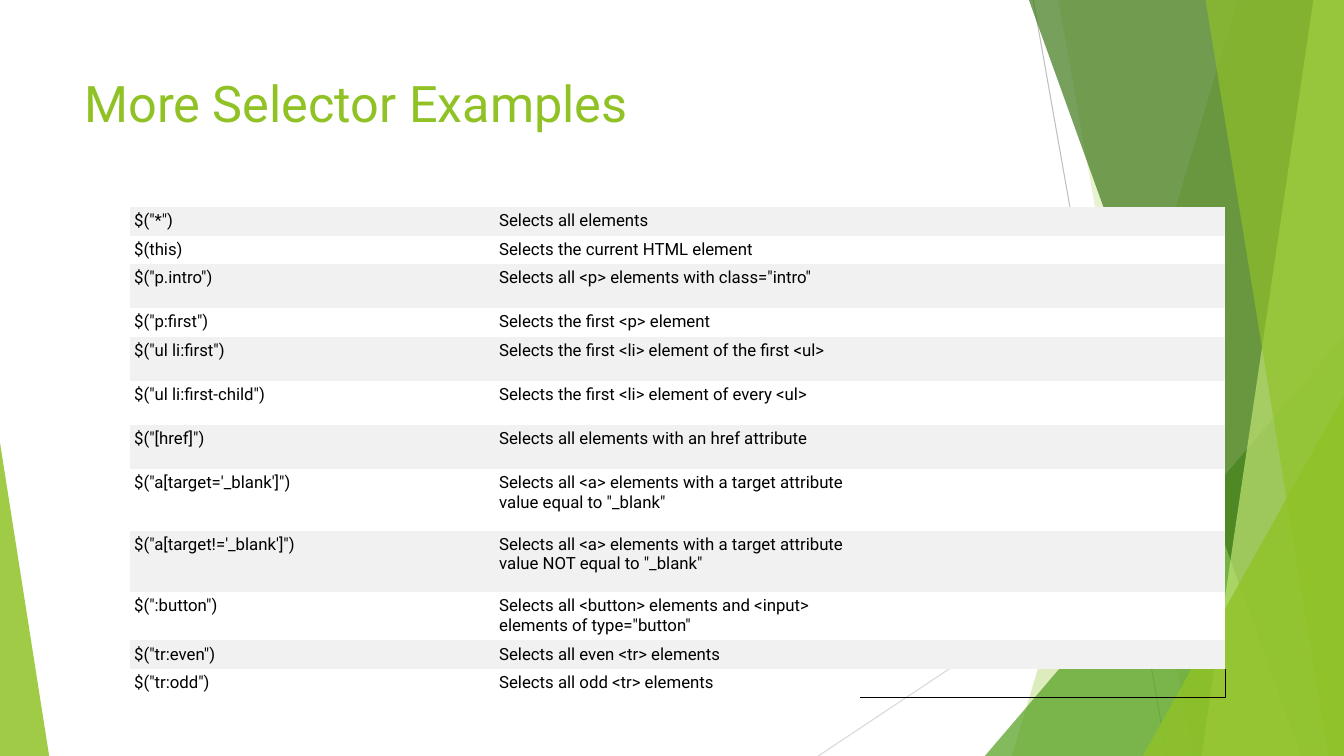
from lxml import etree
from pptx import Presentation
from pptx.dml.color import RGBColor
from pptx.enum import shapes, text
from pptx.oxml import ns
from pptx.util import Cm, Pt

LIME = RGBColor(0x90, 0xC2, 0x26)
GREEN = RGBColor(0x54, 0xA0, 0x21)
MOSS = RGBColor(0x3F, 0x78, 0x19)
PALE = RGBColor(0xC0, 0xE4, 0x74)
BLACK = RGBColor(0, 0, 0)
WHITE = RGBColor(0xFF, 0xFF, 0xFF)
BAND = RGBColor(0xF1, 0xF1, 0xF1)
GREY = RGBColor(0xBF, 0xBF, 0xBF)
SILVER = RGBColor(0xD9, 0xD9, 0xD9)

FONT = "Roboto"
WIDE, HIGH = 33.87, 19.05
PLAIN = "{2D5ABB26-0587-4C30-8999-92F81FD0307C}"

ROWS = [
    (0.72, '$("*")', "Selects all elements"),
    (0.72, "$(this)", "Selects the current HTML element"),
    (1.11, '$("p.intro")', 'Selects all <p> elements with class="intro"'),
    (0.72, '$("p:first")', "Selects the first <p> element"),
    (1.11, '$("ul li:first")', "Selects the first <li> element of the first <ul>"),
    (1.11, '$("ul li:first-child")', "Selects the first <li> element of every <ul>"),
    (1.11, '$("[href]")', "Selects all elements with an href attribute"),
    (1.55, "$(\"a[target='_blank']\")",
     'Selects all <a> elements with a target attribute value equal to "_blank"'),
    (1.55, "$(\"a[target!='_blank']\")",
     'Selects all <a> elements with a target attribute value NOT equal to "_blank"'),
    (1.21, '$(":button")',
     'Selects all <button> elements and <input> elements of type="button"'),
    (0.72, '$("tr:even")', "Selects all even <tr> elements"),
    (0.72, '$("tr:odd")', "Selects all odd <tr> elements"),
]


def add_sub(node, tag, **attrs):
    """Append a drawing element and return it."""
    return etree.SubElement(node, ns.qn(tag), attrs)


def add_line(slide, start, end, tint):
    """Draw a thin straight line."""
    line = slide.shapes.add_connector(
        shapes.MSO_CONNECTOR.STRAIGHT, *(Cm(n) for n in start + end))
    line.line.color.rgb = tint
    line.line.width = Pt(0.75)
    add_sub(line._element.spPr, "a:effectLst")


def paint(shape, tint, alpha):
    """Fill a shape with a see-through colour and no outline."""
    shape.shadow.inherit = False
    shape.line.fill.background()
    shape.fill.solid()
    shape.fill.fore_color.rgb = tint
    color = shape._element.spPr.find(".//" + ns.qn("a:srgbClr"))
    add_sub(color, "a:alpha", val=str(alpha * 1000))


def add_blade(slide, top, foot, tint, alpha):
    """Draw a full-height blade against the right edge."""
    path = [(top, 0), (WIDE, 0), (WIDE, HIGH), (foot, HIGH)]
    points = [(Cm(x), Cm(y)) for x, y in path]
    build = slide.shapes.build_freeform(*points[0])
    build.add_line_segments(points[1:])
    paint(build.convert_to_shape(), tint, alpha)


def add_wedge(slide, left, top, width, peak, tint, alpha):
    """Draw a right triangle standing on the bottom edge."""
    wedge = slide.shapes.add_shape(
        shapes.MSO_SHAPE.ISOSCELES_TRIANGLE,
        Cm(left), Cm(top), Cm(width), Cm(HIGH - top))
    wedge.adjustments[0] = peak
    paint(wedge, tint, alpha)


def add_run(para, words, size, tint):
    """Add one styled run to a paragraph."""
    run = para.add_run()
    run.text = words
    run.font.name = FONT
    run.font.size = Pt(size)
    run.font.color.rgb = tint


def add_title(slide, words):
    """Place the slide title."""
    box = slide.shapes.add_textbox(Cm(1.88), Cm(1.7), Cm(23.88), Cm(3.66))
    frame = box.text_frame
    frame.word_wrap = True
    frame.vertical_anchor = text.MSO_ANCHOR.TOP
    add_run(frame.paragraphs[0], words, 36, LIME)


def fill_cell(cell, words, tint):
    """Set the margins, fill and words of a cell."""
    cell.margin_left = cell.margin_right = Cm(0.1)
    cell.margin_top = cell.margin_bottom = Cm(0.1)
    cell.fill.solid()
    cell.fill.fore_color.rgb = tint
    para = cell.text_frame.paragraphs[0]
    if words:
        add_run(para, words, 12, BLACK)
    else:
        add_sub(para._p, "a:endParaRPr", sz="1200")


def add_edge(cell):
    """Clear a cell and draw its right and bottom borders."""
    cell.fill.background()
    props = cell._tc.get_or_add_tcPr()
    for spot, tag in enumerate(("a:lnR", "a:lnB")):
        edge = add_sub(props, tag, w=str(Pt(1)))
        fill = add_sub(edge, "a:solidFill")
        add_sub(fill, "a:srgbClr", val=str(BLACK))
        props.insert(spot, edge)


def add_grid(slide):
    """Build the banded table of selectors."""
    high = sum(row[0] for row in ROWS)
    frame = slide.shapes.add_table(
        len(ROWS), 3, Cm(3.28), Cm(5.22), Cm(27.6), Cm(high))
    grid = frame.table
    grid.first_row = grid.horz_banding = False
    grid._tbl.tblPr.find(ns.qn("a:tableStyleId")).text = PLAIN
    for col in grid.columns:
        col.width = Cm(9.2)
    for i, (tall, *words) in enumerate(ROWS):
        grid.rows[i].height = Cm(tall)
        for j, part in enumerate(words + [""]):
            fill_cell(grid.cell(i, j), part, WHITE if i % 2 else BAND)
    add_edge(grid.cell(len(ROWS) - 1, 2))


def main():
    """Build and save the slide."""
    deck = Presentation()
    deck.slide_width, deck.slide_height = Cm(WIDE), Cm(HIGH)
    slide = deck.slides.add_slide(deck.slide_layouts[6])
    add_line(slide, (26.04, 0), (29.41, HIGH), GREY)
    add_line(slide, (WIDE, 10.24), (20.62, HIGH), SILVER)
    add_blade(slide, 31.19, 25.5, LIME, 30)
    add_blade(slide, 26.67, 30.05, LIME, 20)
    add_wedge(slide, 24.82, 8.46, 9.05, 1, GREEN, 72)
    add_blade(slide, 25.93, 32.79, MOSS, 70)
    add_blade(slide, 33.1, 30.28, PALE, 70)
    add_blade(slide, 30.38, 33.48, LIME, 65)
    add_wedge(slide, 28.8, 9.98, 5.07, 1, LIME, 80)
    add_wedge(slide, 0, 11.15, 1.24, 0, LIME, 85)
    add_title(slide, "More Selector Examples")
    add_grid(slide)
    deck.save("out.pptx")


if __name__ == "__main__":
    main()
